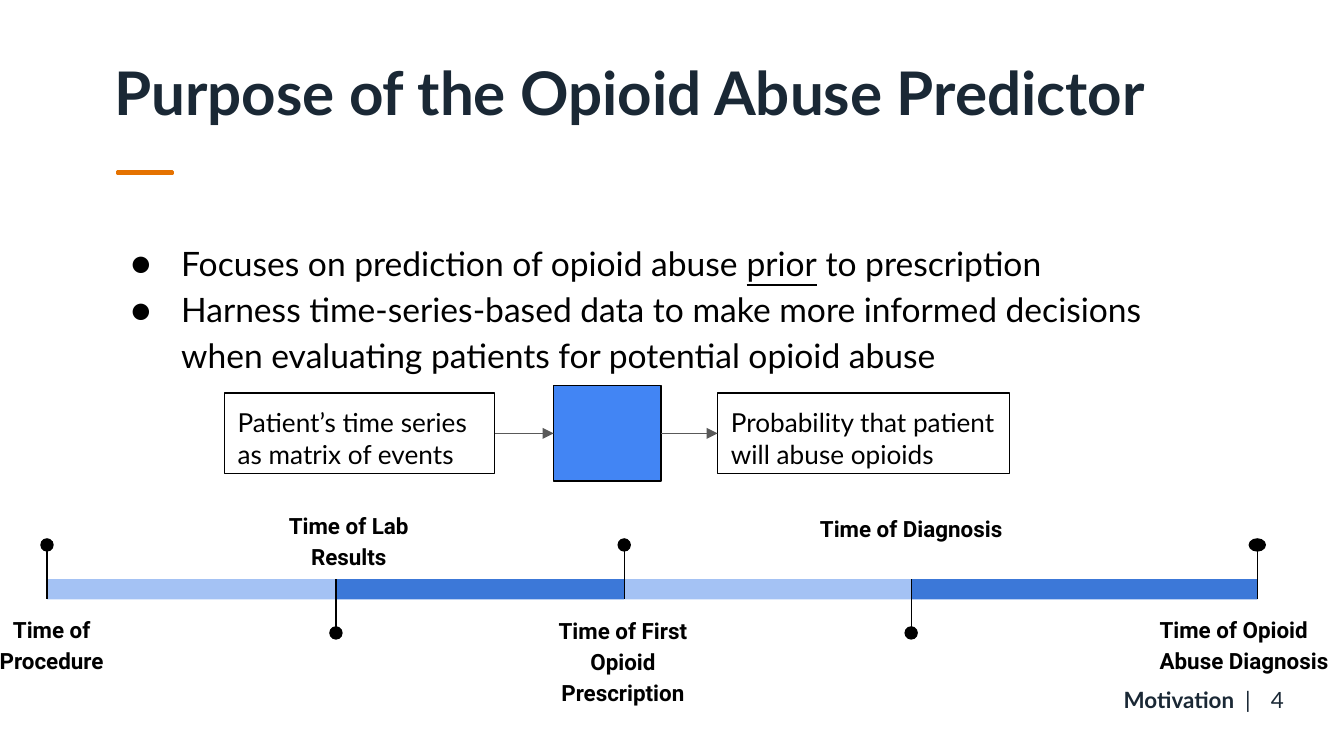
from pptx import Presentation
from pptx.dml.color import RGBColor
from pptx.enum.shapes import MSO_CONNECTOR as Link, MSO_SHAPE as Preset
from pptx.enum.text import MSO_ANCHOR as Anchor, MSO_AUTO_SIZE as Fit, PP_ALIGN as Align
from pptx.oxml.ns import qn
from pptx.util import Pt
from lxml.etree import SubElement

PX = 4572
INSET = 20
COLORS = {
    "navy": "1A2835", "orange": "E57200", "black": "000000", "gray": "595959",
    "light": "A4C2F4", "dark": "3C78D8", "model": "4285F4",
}
BAR_TOP, BAR_HEIGHT, DOT = 862, 30, 20
MILESTONES = [
    (70, 430, "light", True, "Time of Procedure", (-77, 891, 308, 118), Align.CENTER),
    (500, 429, "dark", False, "Time of Lab Results", (354, 736, 330, 82), Align.CENTER),
    (929, 427, "light", True, "Time of First Opioid Prescription", (778, 892, 298, 82), Align.CENTER),
    (1356, 515, "dark", False, "Time of Diagnosis", (1125, 740, 462, 82), Align.CENTER),
    (1871, 0, None, True, "Time of Opioid Abuse Diagnosis", (1706, 891, 294, 208), Align.LEFT),
]


def color(name):
    return RGBColor.from_string(COLORS[name])


def scale(*lengths):
    return [length * PX for length in lengths]


def style_font(font, size, name="Lato", tint="black", bold=False):
    font.size, font.name, font.bold = Pt(size), name, bold
    font.color.rgb = color(tint)


def prepare_frame(frame, anchor=Anchor.TOP):
    frame.word_wrap = True
    frame.auto_size = Fit.NONE
    frame.vertical_anchor = anchor
    frame.margin_left = frame.margin_right = INSET * PX
    frame.margin_top = frame.margin_bottom = INSET * PX


def add_text(shapes, place, text, size, align=Align.LEFT, anchor=Anchor.TOP, **look):
    box = shapes.add_textbox(*scale(*place))
    prepare_frame(box.text_frame, anchor)
    para = box.text_frame.paragraphs[0]
    para.text = text
    para.alignment = align
    style_font(para.runs[0].font, size, **look)
    return para


def add_block(shapes, place, fill=None, line=None, width=0.75, preset=Preset.RECTANGLE):
    block = shapes.add_shape(preset, *scale(*place))
    block.shadow.inherit = False
    if fill:
        block.fill.solid()
        block.fill.fore_color.rgb = color(fill)
    else:
        block.fill.background()
    if line:
        block.line.color.rgb = color(line)
        block.line.width = Pt(width)
    else:
        block.line.fill.background()
    return block


def add_line(shapes, start, end, tint, arrow=False):
    line = shapes.add_connector(Link.STRAIGHT, *scale(*start, *end))
    line.line.color.rgb = color(tint)
    line.line.width = Pt(0.75)
    if arrow:
        SubElement(line.line._get_or_add_ln(), qn("a:tailEnd"), type="triangle")
    SubElement(line._element.spPr, qn("a:effectLst"))


def add_title(page, text):
    title = page.shapes.title
    title.left, title.top, title.width, title.height = scale(150, 76, 1700, 120)
    title.text_frame.text = text
    prepare_frame(title.text_frame, Anchor.MIDDLE)
    para = title.text_frame.paragraphs[0]
    para.alignment = Align.LEFT
    style_font(para.runs[0].font, 32.2, tint="navy", bold=True)


def add_bullets(page, place, items):
    frame = page.shapes.add_textbox(*scale(*place)).text_frame
    prepare_frame(frame)
    for index, pieces in enumerate(items):
        para = frame.add_paragraph() if index else frame.paragraphs[0]
        para.line_spacing = 1.15
        props = para._p.get_or_add_pPr()
        props.set("marL", str(100 * PX))
        props.set("indent", str(-75 * PX))
        tint = SubElement(props, qn("a:buClr"))
        SubElement(tint, qn("a:srgbClr"), val=COLORS["black"])
        SubElement(props, qn("a:buSzPts"), val="1800")
        SubElement(props, qn("a:buFont"), typeface="Lato")
        SubElement(props, qn("a:buChar"), char="●")
        for text, underlined in pieces:
            span = para.add_run()
            span.text = text
            style_font(span.font, 18)
            span.font.underline = underlined


def add_flow_box(page, place, text):
    box = add_block(page.shapes, place, line="black")
    prepare_frame(box.text_frame)
    para = box.text_frame.paragraphs[0]
    para.text = text
    para.alignment = Align.LEFT
    style_font(para.runs[0].font, 14)


def add_milestone(page, x, length, fill, raised, label, place, align):
    shapes = page.shapes.add_group_shape().shapes
    if length:
        add_block(shapes, (x, BAR_TOP, length, BAR_HEIGHT), fill)
    start, end, dot_top = (812, 891, 801) if raised else (940, 862, 932)
    dot_width = DOT if length else 26
    add_line(shapes, (x, start), (x, end), "black")
    add_block(shapes, (x - dot_width // 2, dot_top, dot_width, DOT), "black", preset=Preset.OVAL)
    para = add_text(shapes, place, label, 12, align, name="Roboto", bold=True)
    para.line_spacing = 1.15
    para.space_after = Pt(16)


def add_footer(page):
    add_text(page.shapes, (1854, 998, 94, 86), "4", 12, Align.CENTER, Anchor.MIDDLE, tint="navy")
    para = add_text(page.shapes, (1419, 998, 462, 86), "Motivation  ", 12,
                    Align.RIGHT, Anchor.MIDDLE, tint="navy", bold=True)
    divider = para.add_run()
    divider.text = "|"
    style_font(divider.font, 12, tint="navy")


def main():
    deck = Presentation()
    deck.slide_width, deck.slide_height = scale(2000, 1125)
    page = deck.slides.add_slide(deck.slide_layouts[5])
    add_footer(page)
    add_title(page, "Purpose of the Opioid Abuse Predictor")
    add_block(page.shapes, (175, 255, 82, 4), "orange", "orange", 1.5)
    add_bullets(page, (150, 332, 1598, 262), [
        [("Focuses on prediction of opioid abuse ", False), ("prior", True),
         (" to prescription", False)],
        [("Harness time-series-based data to make more informed decisions "
          "when evaluating patients for potential opioid abuse", False)],
    ])
    for milestone in MILESTONES:
        add_milestone(page, *milestone)
    add_block(page.shapes, (824, 574, 160, 142), "model", "black")
    add_flow_box(page, (334, 585, 402, 120), "Patient’s time series as matrix of events")
    add_flow_box(page, (1068, 585, 434, 120), "Probability that patient will abuse opioids")
    for start, end in ((736, 824), (984, 1068)):
        add_line(page.shapes, (start, 645), (end, 645), "gray", arrow=True)
    deck.save("out.pptx")


if __name__ == "__main__":
    main()
